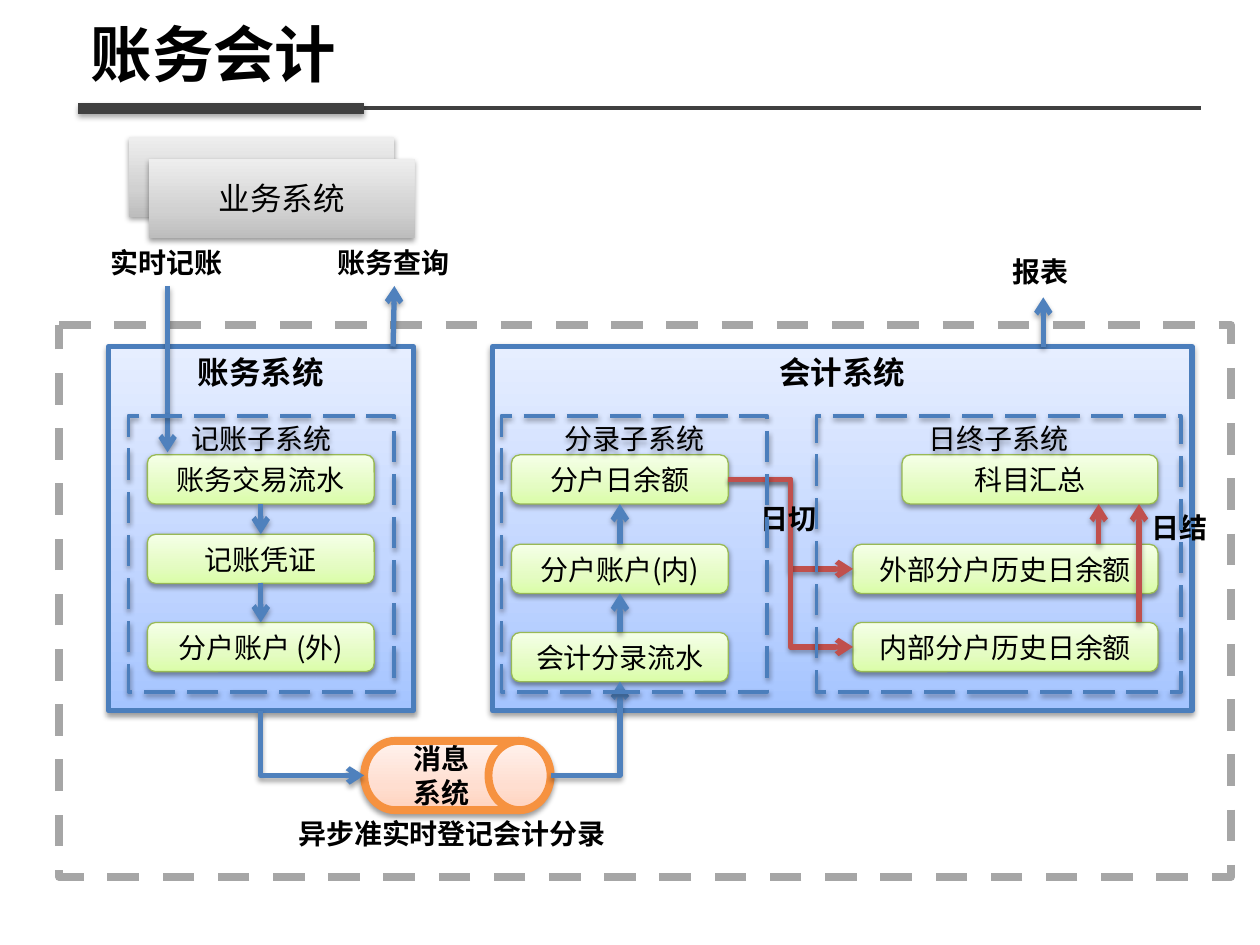
from copy import deepcopy

from lxml import etree
from pptx import Presentation
from pptx import util as u
from pptx.dml.color import RGBColor
from pptx.enum import dml, shapes, text
from pptx.oxml.ns import qn

FONT = "Noto Sans CJK SC"
BLACK = RGBColor(0, 0, 0)
DARK = RGBColor(0x40, 0x40, 0x40)
GRAY = RGBColor(0xA6, 0xA6, 0xA6)
EDGE = RGBColor(0x4B, 0x7E, 0xBC)
GREEN_EDGE = RGBColor(0x98, 0xB9, 0x55)
ORANGE_EDGE = RGBColor(0xF6, 0x92, 0x40)
BLUE = RGBColor(0x4F, 0x81, 0xBD)
RED = RGBColor(0xC0, 0x50, 0x4D)


def ramp(*codes):
    return [RGBColor.from_string(c) for c in codes]


BLUES = ramp("A4C4FF", "BFD4FF", "E6EEFF")
GREENS = ramp("DAFDA7", "E4FCC2", "F5FFE7")
ORANGES = ramp("FFD2BD", "FFDED0", "FFF2ED")
GRAYS = ramp("BDBDBD", "D1D1D1", "EEEEEE")
STOPS = (0, 0.35, 1)

KIND, DASH = shapes.MSO_SHAPE, dml.MSO_LINE
TOP, MIDDLE = text.MSO_ANCHOR.TOP, text.MSO_ANCHOR.MIDDLE

# Content: left, top, width, height in inches
FRAME = (0.47, 2.58, 9.3, 4.38)
PANEL_Y, PANEL_H = 2.75, 2.89
PANELS = [("账务系统", 0.86, 2.42), ("会计系统", 3.91, 5.55)]
GROUP_Y, GROUP_H = 3.3, 2.19
GROUPS = [("日终子系统", 6.48, 2.89), ("分录子系统", 3.98, 2.11), ("记账子系统", 1.02, 2.11)]
BOX_H = 0.39
COLUMNS = [  # left, width, [(label, top)]
    (1.17, 1.8, [("账务交易流水", 3.61), ("记账凭证", 4.24), ("分户账户 (外)", 4.94)]),
    (4.06, 1.72, [("分户日余额", 3.61), ("分户账户(内)", 4.32), ("会计分录流水", 5.02)]),
    (6.77, 2.42, [("外部分户历史日余额", 4.32), ("内部分户历史日余额", 4.94)]),
    (7.16, 2.03, [("科目汇总", 3.61)]),
]
DRUM = (2.89, 5.88, 1.48, 0.55)
CARDS = [("", 1.02, 1.09), ("业务系统", 1.18, 1.26)]
CARD_W, CARD_H = 2.11, 0.63
LABEL_H = 0.37
LABELS = [
    ("日切", 5.94, 3.93, 0.65), ("日结", 9.04, 4, 0.65), ("实时记账", 0.78, 1.9, 1.1),
    ("账务查询", 2.58, 1.9, 1.1), ("报表", 7.94, 1.97, 0.65),
    ("异步准实时登记会计分录", 2.27, 6.43, 2.67),
]
LABEL_BOTTOM = 2.27

prs = Presentation()
prs.slide_width, prs.slide_height = u.Inches(10), u.Inches(7.5)
s = prs.slides.add_slide(prs.slide_layouts[5])


def style_text(tf, content, size, bold=False, align=text.PP_ALIGN.CENTER, anchor=MIDDLE):
    tf.text = content
    tf.vertical_anchor = anchor
    for p in tf.paragraphs:
        p.alignment = align
        for r in p.runs:
            r.font.size, r.font.bold = u.Pt(size), bold
            r.font.color.rgb = BLACK
            r.font.name = FONT
            etree.SubElement(r.font._element, qn("a:ea"), typeface=FONT)


def add_shadow(effects, distance, opacity):
    shadow = etree.SubElement(effects, qn("a:outerShdw"), blurRad=str(u.Pt(3.1)),
                              dist=str(u.Pt(distance)), dir="5400000", rotWithShape="0")
    color = etree.SubElement(shadow, qn("a:srgbClr"), val="000000")
    etree.SubElement(color, qn("a:alpha"), val=str(opacity * 1000))


def fill_gradient(fill, colors):
    fill.gradient()
    fill.gradient_angle = 90
    stops = fill.gradient_stops
    first = stops[0]._gs
    first.addnext(deepcopy(first))
    for stop, position, color in zip(fill.gradient_stops, STOPS, colors):
        stop.position, stop.color.rgb = position, color


def add_box(kind, at, colors=None, edge=None, width=0, dash=None, shadow=True):
    sp = s.shapes.add_shape(kind, *map(u.Inches, at))
    if colors:
        fill_gradient(sp.fill, colors)
    else:
        sp.fill.background()
    if edge is None:
        sp.line.fill.background()
    else:
        sp.line.color.rgb, sp.line.width = edge, u.Pt(width)
        if dash:
            sp.line.dash_style = dash
    sp.shadow.inherit = False
    if shadow:
        add_shadow(sp._element.spPr.find(qn("a:effectLst")), 1.6, 38)
    return sp


def add_line(start, end, color, width=3, arrow="tailEnd", shadow=True, bend=None):
    """Join two points; bend names the preset of an elbow, arrow the end that has a head."""
    kind = shapes.MSO_CONNECTOR.ELBOW if bend else shapes.MSO_CONNECTOR.STRAIGHT
    cx = s.shapes.add_connector(kind, *map(u.Inches, (*start, *end)))
    cx.line.color.rgb, cx.line.width = color, u.Pt(width)
    if arrow:
        etree.SubElement(cx.line._get_or_add_ln(), qn("a:" + arrow), type="arrow")
    spPr = cx._element.spPr
    if bend:
        spPr.find(qn("a:prstGeom")).set("prst", bend)
    effects = etree.SubElement(spPr, qn("a:effectLst"))
    if shadow:
        add_shadow(effects, 1.8, 35)


def edge_point(at, fx, fy):
    """Point at the given shares of a box's width and height."""
    x, y, w, h = at
    return x + w * fx, y + h * fy


# Title and rules
title = s.shapes.title
title.left, title.top, title.width, title.height = map(u.Inches, (0.62, 0.14, 8.88, 0.64))
style_text(title.text_frame, "账务会计", 35.1, True, text.PP_ALIGN.LEFT)
title.text_frame.auto_size = text.MSO_AUTO_SIZE.NONE
title.text_frame.paragraphs[0].line_spacing = 0.9
for end, width, shadow in ((9.53, 2.25, False), (2.89, 6, True)):
    add_line((0.62, 0.86), (end, 0.86), DARK, width, None, shadow)

# Systems and their boxes
add_box(KIND.FLOWCHART_PROCESS, FRAME, None, GRAY, 4.5, DASH.DASH, shadow=False)
for name, x, w in PANELS:
    sp = add_box(KIND.RECTANGLE, (x, PANEL_Y, w, PANEL_H), BLUES, EDGE, 3)
    style_text(sp.text_frame, name, 18, True, anchor=TOP)
boxes = {}
for x, w, rows in COLUMNS:
    for name, y in rows:
        boxes[name] = (x, y, w, BOX_H)
        sp = add_box(KIND.ROUNDED_RECTANGLE, boxes[name], GREENS, GREEN_EDGE, 0.75)
        style_text(sp.text_frame, name, 16)
drum = add_box(KIND.FLOWCHART_DIRECT_ACCESS_STORAGE, DRUM, ORANGES, ORANGE_EDGE, 4.5)
style_text(drum.text_frame, "消息\n系统", 16, True)

# Day-end flow
daily, outer, inner = boxes["分户日余额"], boxes["外部分户历史日余额"], boxes["内部分户历史日余额"]
for target in (outer, inner):
    add_line(edge_point(daily, 1, 0.5), edge_point(target, 0, 0.5), RED, bend="bentConnector3")
summary_bottom = edge_point(boxes["科目汇总"], 0, 1)[1]
for x, source in ((9.04, inner), (8.72, outer)):
    add_line((x, source[1]), (x, summary_bottom), RED)

# Posting flow: down the ledger column, up the accounting column
ledger, accounting = ([boxes[name] for name, _ in rows] for _, _, rows in COLUMNS[:2])
for upper, lower in zip(ledger, ledger[1:]):
    add_line(edge_point(upper, 0.5, 1), edge_point(lower, 0.5, 0), BLUE)
for upper, lower in zip(accounting, accounting[1:]):
    add_line(edge_point(lower, 0.5, 0), edge_point(upper, 0.5, 1), BLUE)
panel_bottom = PANEL_Y + PANEL_H
add_line(edge_point(DRUM, 0, 0.5), (2.07, panel_bottom), BLUE, arrow="headEnd",
         bend="bentConnector2")
add_line(edge_point(DRUM, 1, 0.5), edge_point(accounting[-1], 0.5, 1), BLUE,
         bend="bentConnector2")
add_line((1.33, LABEL_BOTTOM), (1.33, 3.59), BLUE)
add_line((3.12, PANEL_Y), (3.13, LABEL_BOTTOM), BLUE)
add_line((8.28, PANEL_Y), (8.28, 2.36), BLUE)

for name, x, y, w in LABELS:
    tb = s.shapes.add_textbox(*map(u.Inches, (x, y, w, LABEL_H)))
    style_text(tb.text_frame, name, 16, True, text.PP_ALIGN.LEFT, TOP)
    tb.text_frame.word_wrap = False
    tb.text_frame.auto_size = text.MSO_AUTO_SIZE.SHAPE_TO_FIT_TEXT

for name, x, w in GROUPS:
    sp = add_box(KIND.RECTANGLE, (x, GROUP_Y, w, GROUP_H), None, EDGE, 2.25, DASH.LONG_DASH)
    style_text(sp.text_frame, name, 16, anchor=TOP)
for name, x, y in CARDS:
    sp = add_box(KIND.FLOWCHART_PROCESS, (x, y, CARD_W, CARD_H), GRAYS)
    if name:
        style_text(sp.text_frame, name, 18)

prs.save("out.pptx")
